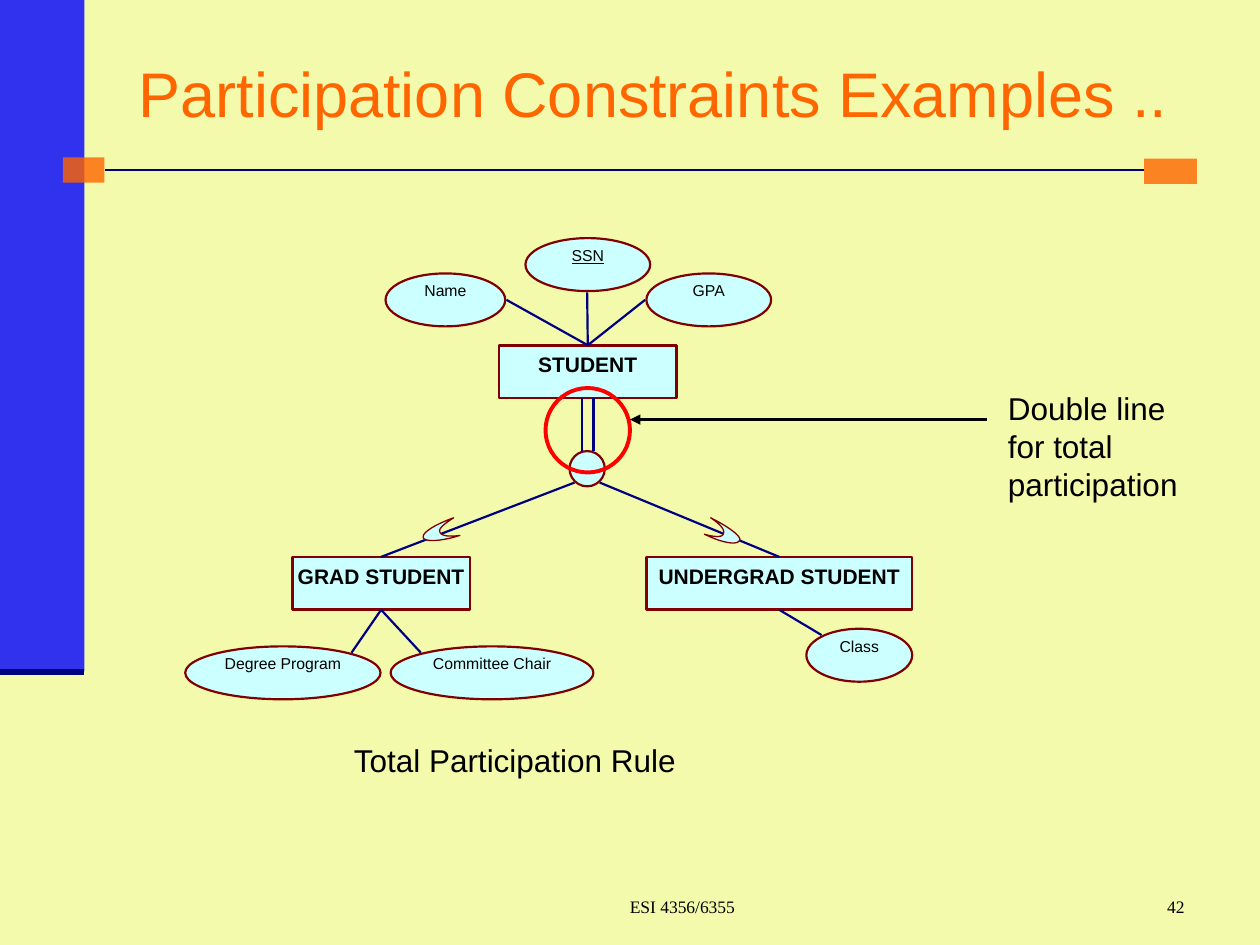
import pptx
import pptx.util
import pptx.dml.color
import pptx.enum.shapes
import pptx.enum.text
import pptx.oxml
import pptx.oxml.ns

Inches = pptx.util.Inches
Pt = pptx.util.Pt
RGBColor = pptx.dml.color.RGBColor
SHAPE = pptx.enum.shapes.MSO_SHAPE
ALIGN = pptx.enum.text.PP_ALIGN
ANCHOR = pptx.enum.text.MSO_ANCHOR
qn = pptx.oxml.ns.qn

CREAM = RGBColor(0xF3, 0xFA, 0xAC)
BLUE = RGBColor(0x00, 0x00, 0xFF)
NAVY = RGBColor(0x00, 0x00, 0x80)
ORANGE = RGBColor(0xFF, 0x66, 0x00)
CYAN = RGBColor(0xCC, 0xFF, 0xFF)
MAROON = RGBColor(0x80, 0x00, 0x00)
RED = RGBColor(0xFF, 0x00, 0x00)
BLACK = RGBColor(0x00, 0x00, 0x00)

presentation = pptx.Presentation()
presentation.slide_width = Inches(10)
presentation.slide_height = Inches(7.5)
slide = presentation.slides.add_slide(presentation.slide_layouts[5])
slide.background.fill.solid()
slide.background.fill.fore_color.rgb = CREAM


def add_figure(kind, box, fill=None, line=None, width=1.25):
    figure = slide.shapes.add_shape(kind, *[Inches(v) for v in box])
    figure.shadow.inherit = False
    if fill is None:
        figure.fill.background()
    else:
        figure.fill.solid()
        figure.fill.fore_color.rgb = fill
    if line is None:
        figure.line.fill.background()
    else:
        figure.line.color.rgb = line
        figure.line.width = Pt(width)
    return figure


def add_line(start, end, color=NAVY, width=1.25):
    line = slide.shapes.add_connector(
        pptx.enum.shapes.MSO_CONNECTOR.STRAIGHT,
        *[Inches(v) for v in (*start, *end)])
    line.line.color.rgb = color
    line.line.width = Pt(width)
    pptx.oxml.ns  # namespace map used by the element below
    line._element.spPr.append(pptx.oxml.parse_xml(
        f'<a:effectLst {pptx.oxml.ns.nsdecls("a")}/>'))
    return line


# Side band, title rule and its two end blocks
for box, color in [((0, 0, 0.67, 5.33), BLUE),
                   ((9.08, 1.26, 0.42, 0.2), ORANGE),
                   ((0.5, 1.25, 0.33, 0.2), ORANGE)]:
    block = add_figure(SHAPE.RECTANGLE, box, color)
    block_color = block._element.spPr.find(qn("a:solidFill"))[0]
    block_color.append(pptx.oxml.parse_xml(
        f'<a:alpha {pptx.oxml.ns.nsdecls("a")} val="80000"/>'))
add_line((0, 5.33), (0.67, 5.33), width=3.5)
add_line((0.83, 1.35), (9.08, 1.35), width=1.5)

# Title
title = slide.shapes.title
title.left, title.top = Inches(1), Inches(0.26)
title.width, title.height = Inches(8.5), Inches(0.95)
title.text_frame.text = "Participation Constraints Examples .."
title.text_frame.auto_size = pptx.enum.text.MSO_AUTO_SIZE.NONE
title.text_frame.vertical_anchor = ANCHOR.MIDDLE
title_paragraph = title.text_frame.paragraphs[0]
title_paragraph.alignment = ALIGN.LEFT
title_paragraph.font.name = "Arial"
title_paragraph.font.size = Pt(36)
title_paragraph.font.color.rgb = ORANGE

# Entities and attributes: label, left, top, width
entities = [("STUDENT", 3.96, 2.74, 1.41),
            ("GRAD STUDENT", 2.32, 4.42, 1.41),
            ("UNDERGRAD STUDENT", 5.13, 4.42, 2.11)]
attributes = [("GPA", 5.13, 2.17, 0.99),
              ("Name", 3.06, 2.17, 0.95),
              ("SSN", 4.17, 1.89, 0.99),
              ("Degree Program", 1.47, 5.13, 1.55),
              ("Committee Chair", 3.1, 5.13, 1.61),
              ("Class", 6.4, 4.99, 0.84)]
nodes = {}
for label, left, top, width in entities + attributes:
    is_entity = (label, left, top, width) in entities
    node = add_figure(SHAPE.RECTANGLE if is_entity else SHAPE.OVAL,
                      (left, top, width, 0.42), CYAN, MAROON,
                      1.5 if is_entity else 1.25)
    frame = node.text_frame
    frame.text = label
    frame.word_wrap = True
    frame.vertical_anchor = ANCHOR.TOP
    frame.margin_left = frame.margin_right = 0
    frame.margin_top = frame.margin_bottom = Inches(0.05 if is_entity else 0)
    frame.paragraphs[0].alignment = ALIGN.CENTER
    font = frame.paragraphs[0].runs[0].font
    font.name = "Arial"
    font.size = Pt(12 if is_entity else 9)
    font.bold = is_entity
    font.underline = label == "SSN"
    font.color.rgb = BLACK
    nodes[label] = node

# Links from entity sides (0 top, 2 bottom) to attributes and the circle
for entity, side, end in [("STUDENT", 0, (4.66, 2.32)),
                          ("STUDENT", 0, (4.02, 2.38)),
                          ("STUDENT", 0, (5.12, 2.38)),
                          ("GRAD STUDENT", 0, (4.56, 3.83)),
                          ("UNDERGRAD STUDENT", 0, (4.76, 3.83)),
                          ("GRAD STUDENT", 2, (3.34, 5.18)),
                          ("GRAD STUDENT", 2, (2.79, 5.18)),
                          ("UNDERGRAD STUDENT", 2, (6.52, 5.04))]:
    add_line(end, end).begin_connect(nodes[entity], side)

# Subset crescents: start point, then cubic curves of two controls and an end
crescents = [
    [(5.59, 4.24),
     (5.65, 4.26), (5.73, 4.27), (5.74, 4.24),
     (5.76, 4.2), (5.7, 4.15), (5.64, 4.11),
     (5.78, 4.18), (5.89, 4.26), (5.87, 4.29),
     (5.85, 4.33), (5.73, 4.31), (5.59, 4.24)],
    [(3.6, 4.11),
     (3.54, 4.15), (3.48, 4.19), (3.49, 4.22),
     (3.5, 4.26), (3.58, 4.26), (3.65, 4.25),
     (3.5, 4.3), (3.37, 4.3), (3.36, 4.27),
     (3.34, 4.23), (3.46, 4.16), (3.6, 4.11)]]
STEPS = 10
for points in crescents:
    outline = []
    for i in range(0, len(points) - 1, 3):
        for step in range(1, STEPS + 1):
            t = step / STEPS
            weights = ((1 - t) ** 3, 3 * t * (1 - t) ** 2, 3 * t * t * (1 - t), t ** 3)
            outline.append(tuple(
                Inches(sum(w * p[axis] for w, p in zip(weights, points[i:i + 4])))
                for axis in (0, 1)))
    builder = slide.shapes.build_freeform(*outline[-1])
    builder.add_line_segments(outline, close=True)
    crescent = builder.convert_to_shape()
    crescent.shadow.inherit = False
    crescent.fill.solid()
    crescent.fill.fore_color.rgb = CYAN
    crescent.line.color.rgb = MAROON
    crescent.line.width = Pt(0.75)

# Specialization circle, double line and red highlight ring
add_figure(SHAPE.OVAL, (4.52, 3.58, 0.28, 0.28), CYAN, MAROON)
for x in (4.62, 4.71):
    add_line((x, 3.16), (x, 3.58))
add_figure(SHAPE.OVAL, (4.33, 3.08, 0.67, 0.67), None, RED, 2.25)

# Arrow from the remark to the ring
arrow = add_line((7.83, 3.33), (5, 3.33), BLACK, 1.5)
arrow.line._get_or_add_ln().append(pptx.oxml.parse_xml(
    f'<a:tailEnd {pptx.oxml.ns.nsdecls("a")} type="triangle"/>'))

# Caption, remark, footer and page number
for text, box, font_name, size, align, anchor, indent in [
        ("Total Participation Rule", (2.71, 5.83, 3.53, 0.4),
         "Arial", 18, ALIGN.LEFT, ANCHOR.TOP, 0),
        ("Double line\nfor total\nparticipation", (7.9, 3.04, 1.55, 1),
         "Arial", 18, ALIGN.LEFT, ANCHOR.TOP, 0),
        ("ESI 4356/6355", (3.67, 6.83, 3.25, 0.5),
         "Times New Roman", 10, ALIGN.CENTER, ANCHOR.BOTTOM, 0.24),
        ("42", (7.42, 6.83, 2.08, 0.5),
         "Times New Roman", 10, ALIGN.RIGHT, ANCHOR.BOTTOM, 0.24)]:
    note = slide.shapes.add_textbox(*[Inches(v) for v in box])
    note.text_frame.text = text
    note.text_frame.word_wrap = "\n" not in text
    note.text_frame.vertical_anchor = anchor
    for paragraph in note.text_frame.paragraphs:
        paragraph.alignment = align
        paragraph._p.get_or_add_pPr().set("marL", str(Inches(indent)))
        paragraph.font.name = font_name
        paragraph.font.size = Pt(size)
        paragraph.font.color.rgb = BLACK

presentation.save("out.pptx")
